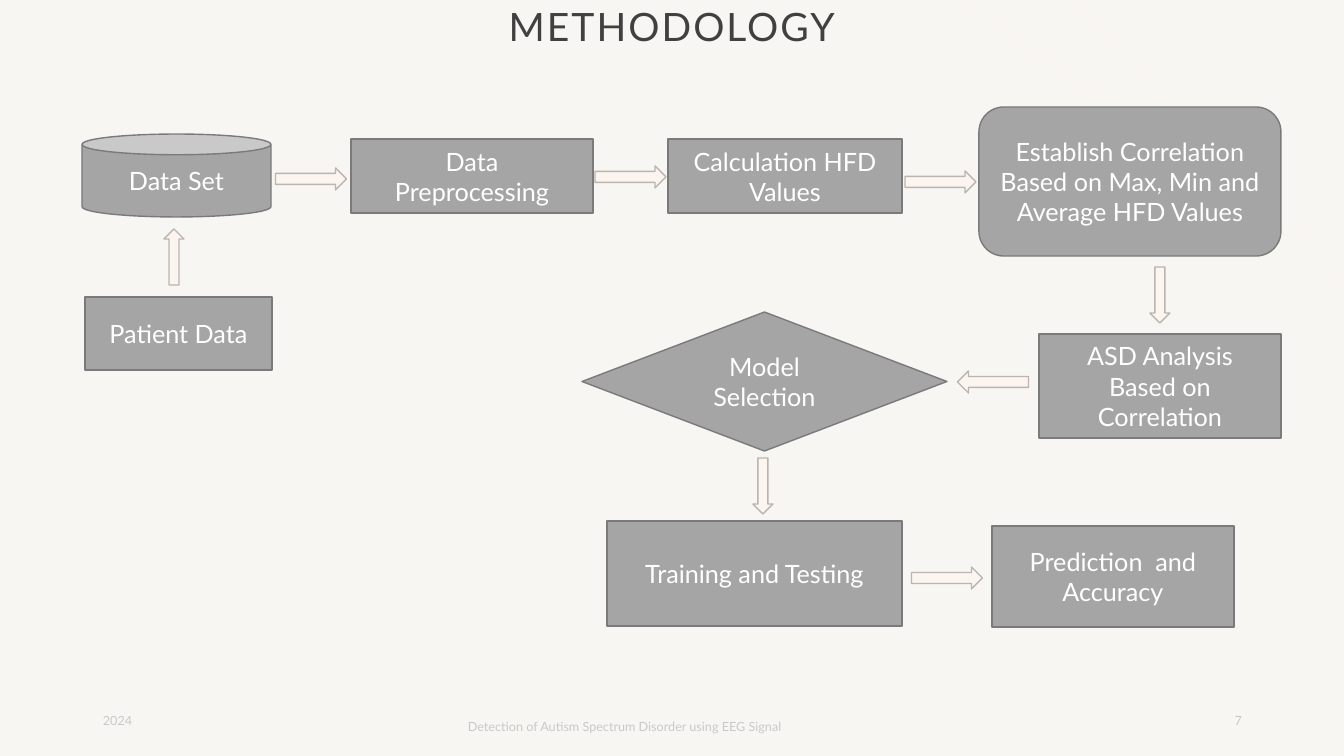
import pptx
import pptx.util
import pptx.dml.color
import pptx.enum.shapes
import pptx.enum.text
import lxml.etree

KIND = pptx.enum.shapes.MSO_SHAPE
ALIGN = pptx.enum.text.PP_ALIGN
ANCHOR = pptx.enum.text.MSO_ANCHOR
PX = 914400 / 100.8

BACKGROUND, RAY, NODE, NODE_EDGE, ARROW_EDGE = "F7F6F3", "FBF4EF", "A5A5A5", "7A7A7A", "BAB5B1"
FOOTER = "C9C9C9"

rays = [((958, 0), (1344, 259)), ((1072, 0), (1344, 297))]

title = ("METHODOLOGY", (395, 4, 554, 50))

footers = [
    ("2024", (93, 701, 302, 40), ALIGN.LEFT, ANCHOR.MIDDLE),
    ("7", (950, 701, 302, 40), ALIGN.RIGHT, ANCHOR.MIDDLE),
    ("Detection of Autism Spectrum Disorder using EEG Signal", (458, 714, 454, 40), ALIGN.LEFT, ANCHOR.TOP),
]

steps = {
    "patient": (KIND.RECTANGLE, (85, 297, 187, 73), ["Patient Data"]),
    "dataset": (KIND.CAN, (82, 134, 189, 83), ["Data Set"]),
    "preprocessing": (KIND.RECTANGLE, (351, 139, 242, 74), ["Data", "Preprocessing"]),
    "hfd": (KIND.RECTANGLE, (668, 139, 234, 74), ["Calculation HFD Values"]),
    "correlation": (KIND.ROUNDED_RECTANGLE, (979, 107, 302, 149),
                    ["Establish Correlation", "Based on Max, Min and", "Average HFD Values"]),
    "analysis": (KIND.RECTANGLE, (1039, 334, 242, 104), ["ASD Analysis", "Based on", "Correlation"]),
    "model": (KIND.FLOWCHART_DECISION, (582, 312, 365, 139), ["Model Selection"]),
    "training": (KIND.RECTANGLE, (607, 521, 295, 105), ["Training and Testing"]),
    "prediction": (KIND.RECTANGLE, (992, 526, 242, 101), ["Prediction  and Accuracy"]),
}

flows = [
    ("patient", "dataset", KIND.UP_ARROW, 174),
    ("dataset", "preprocessing", KIND.RIGHT_ARROW, 179),
    ("preprocessing", "hfd", KIND.RIGHT_ARROW, 177),
    ("hfd", "correlation", KIND.RIGHT_ARROW, 182),
    ("correlation", "analysis", KIND.DOWN_ARROW, 1160),
    ("analysis", "model", KIND.LEFT_ARROW, 382),
    ("model", "training", KIND.DOWN_ARROW, 763),
    ("training", "prediction", KIND.RIGHT_ARROW, 578),
]


def emu(*lengths):
    return [round(length * PX) for length in lengths]


def color(value):
    return pptx.dml.color.RGBColor.from_string(value)


def write(frame, lines, size, ink, align=ALIGN.CENTER, anchor=ANCHOR.MIDDLE, spacing=None, tracking=None):
    frame.word_wrap = True
    frame.vertical_anchor = anchor
    for index, line in enumerate(lines):
        paragraph = frame.add_paragraph() if index else frame.paragraphs[0]
        paragraph.alignment = align
        if spacing:
            paragraph.line_spacing = spacing
        run = paragraph.add_run()
        run.text = line
        run.font.name = "Lato"
        run.font.size = pptx.util.Pt(size)
        run.font.color.rgb = color(ink)
        if tracking:
            run.font._element.set("spc", str(tracking))


def draw(kind, box, fill, edge):
    shape = slide.shapes.add_shape(kind, *emu(*box))
    shape.shadow.inherit = False
    shape.fill.solid()
    shape.fill.fore_color.rgb = color(fill)
    shape.line.color.rgb = color(edge)
    shape.line.width = pptx.util.Pt(1)
    return shape


def gap_center(start, end, axis):
    first, second = sorted((start, end), key=lambda box: box[axis])
    return (first[axis] + first[axis + 2] + second[axis]) / 2


deck = pptx.Presentation()
deck.slide_width, deck.slide_height = emu(1344, 756)
slide = deck.slides.add_slide(deck.slide_layouts[6])
slide.background.fill.solid()
slide.background.fill.fore_color.rgb = color(BACKGROUND)

for start, end in rays:
    ray = slide.shapes.add_connector(pptx.enum.shapes.MSO_CONNECTOR.STRAIGHT, *emu(*start, *end))
    ray.line.color.rgb = color(RAY)
    ray.line.width = pptx.util.Pt(0.5)
    lxml.etree.SubElement(ray._element.spPr, pptx.oxml.ns.qn("a:effectLst"))

heading, heading_box = title
write(slide.shapes.add_textbox(*emu(*heading_box)).text_frame, [heading], 27.9, "404040",
      spacing=0.9, tracking=150)

for words, box, align, anchor in footers:
    write(slide.shapes.add_textbox(*emu(*box)).text_frame, [words], 9, FOOTER, align, anchor)

for kind, box, lines in steps.values():
    write(draw(kind, box, NODE, NODE_EDGE).text_frame, lines, 18, "FFFFFF")

for source, target, kind, across in flows:
    start, end = steps[source][1], steps[target][1]
    if kind in (KIND.LEFT_ARROW, KIND.RIGHT_ARROW):
        width, height = 71, 22
        x, y = gap_center(start, end, 0), across
    else:
        width, height = 20, 56
        x, y = across, gap_center(start, end, 1)
    draw(kind, (x - width / 2, y - height / 2, width, height), RAY, ARROW_EDGE)

deck.save("out.pptx")
